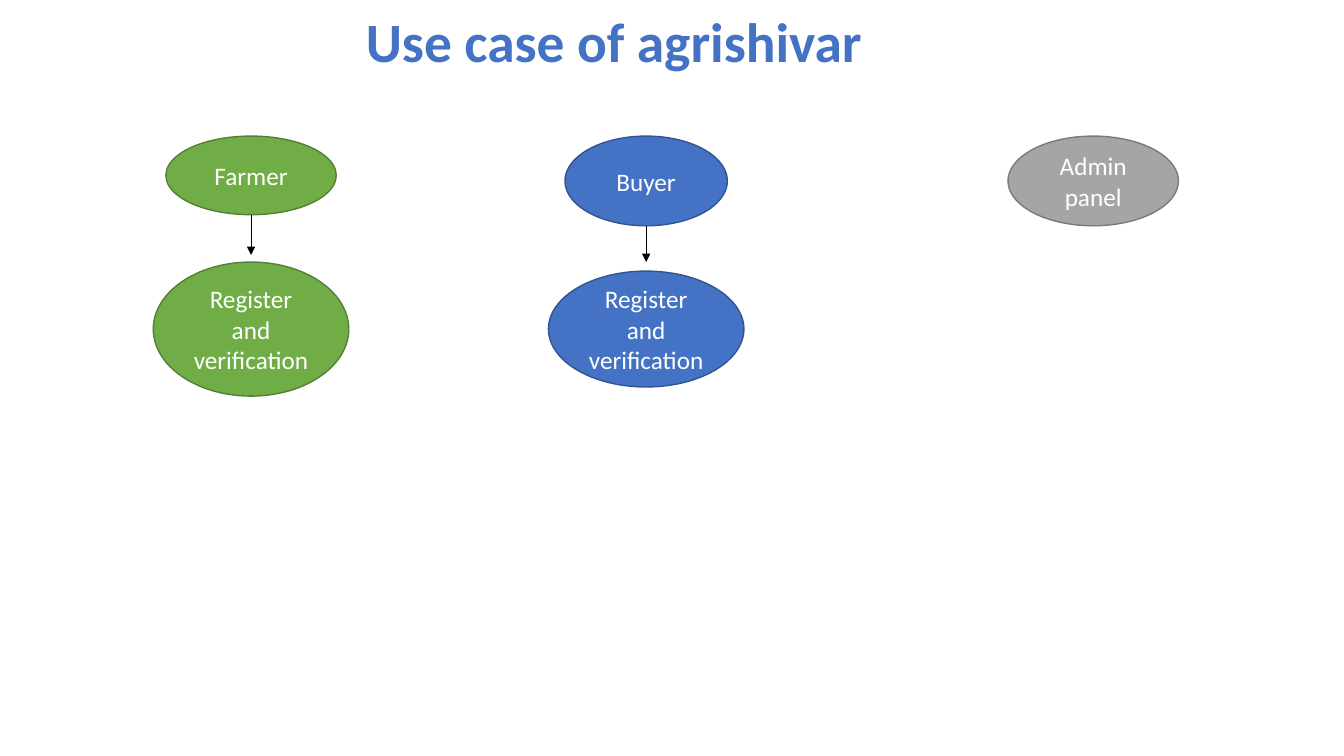
import dataclasses

import pptx
import pptx.dml.color
import pptx.enum.shapes
import pptx.enum.text
import pptx.oxml
import pptx.oxml.ns
import pptx.util

SLIDE_WIDTH = pptx.util.Inches(13.33)
SLIDE_HEIGHT = pptx.util.Inches(7.5)
GRID_STEPS = 100


@dataclasses.dataclass(frozen=True)
class Theme:
    """Colours, font and sizes of the slide."""
    font: str = "Calibri"
    title_size: float = 39.6
    label_size: float = 18
    title: str = "4472C4"
    label: str = "FFFFFF"
    arrow: str = "000000"
    farmer: tuple = ("70AD47", "538035")
    buyer: tuple = ("4472C4", "325491")
    admin: tuple = ("A5A5A5", "7A7A7A")
    outline_width: float = 1
    arrow_width: float = 0.5


THEME = Theme()
ROLE_TOP = 18
REGISTER_MIDDLE = 43.53
REGISTER_WIDTH = 14.55


def columns(count):
    """Return the length of a number of grid columns."""
    return round(SLIDE_WIDTH * count / GRID_STEPS)


def rows(count):
    """Return the length of a number of grid rows."""
    return round(SLIDE_HEIGHT * count / GRID_STEPS)


def rgb(code):
    """Return the colour for a hexadecimal code."""
    return pptx.dml.color.RGBColor.from_string(code)


def write(frame, words, size, colour, align, bold=False):
    """Write one vertically centred paragraph into a text frame."""
    frame.word_wrap = True
    frame.vertical_anchor = pptx.enum.text.MSO_ANCHOR.MIDDLE
    paragraph = frame.paragraphs[0]
    paragraph.alignment = align
    run = paragraph.add_run()
    run.text = words
    run.font.name = THEME.font
    run.font.size = pptx.util.Pt(size)
    run.font.bold = bold
    run.font.color.rgb = rgb(colour)
    return paragraph


def add_title(slide, words):
    """Add the heading of the slide."""
    heading = slide.shapes.add_textbox(columns(26.48), rows(2.8), columns(41.49), rows(6.13))
    paragraph = write(heading.text_frame, words, THEME.title_size, THEME.title,
                      pptx.enum.text.PP_ALIGN.LEFT, bold=True)
    paragraph.line_spacing = 0.9


def add_bubble(slide, words, colours, centre, top, width, height):
    """Add a labelled ellipse centred on a column."""
    bubble = slide.shapes.add_shape(
        pptx.enum.shapes.MSO_SHAPE.OVAL,
        columns(centre - width / 2), rows(top), columns(width), rows(height))
    fill, outline = colours
    bubble.shadow.inherit = False
    bubble.fill.solid()
    bubble.fill.fore_color.rgb = rgb(fill)
    bubble.line.color.rgb = rgb(outline)
    bubble.line.width = pptx.util.Pt(THEME.outline_width)
    write(bubble.text_frame, words, THEME.label_size, THEME.label,
          pptx.enum.text.PP_ALIGN.CENTER)


def add_arrow(slide, centre, start, end):
    """Add a downward arrow on a column."""
    arrow = slide.shapes.add_connector(
        pptx.enum.shapes.MSO_CONNECTOR.STRAIGHT,
        columns(centre), rows(start), columns(centre), rows(end))
    arrow.line.color.rgb = rgb(THEME.arrow)
    arrow.line.width = pptx.util.Pt(THEME.arrow_width)
    head = pptx.oxml.parse_xml(
        f'<a:tailEnd {pptx.oxml.ns.nsdecls("a")} type="triangle"/>')
    arrow.line._get_or_add_ln().append(head)
    arrow._element.spPr.append(
        pptx.oxml.parse_xml(f'<a:effectLst {pptx.oxml.ns.nsdecls("a")}/>'))


def add_registration(slide, colours, centre, role_height, arrow_end, height):
    """Add the registration step and the arrow that leads to it."""
    add_arrow(slide, centre, ROLE_TOP + role_height, arrow_end)
    add_bubble(slide, "Register and verification", colours, centre,
               REGISTER_MIDDLE - height / 2, REGISTER_WIDTH, height)


def main():
    """Build the use case slide and save it."""
    deck = pptx.Presentation()
    deck.slide_width = SLIDE_WIDTH
    deck.slide_height = SLIDE_HEIGHT
    slide = deck.slides.add_slide(deck.slide_layouts[6])

    add_title(slide, "Use case of agrishivar")
    roles = (
        ("Farmer", THEME.farmer, 18.68, 12.68, 10.4, (33.73, 17.73)),
        ("Buyer", THEME.buyer, 48.08, 12.08, 11.87, (34.67, 15.33)),
        ("Admin panel", THEME.admin, 81.34, 12.68, 11.87, None),
    )
    for role, colours, centre, width, height, registration in roles:
        add_bubble(slide, role, colours, centre, ROLE_TOP, width, height)
        if registration:
            add_registration(slide, colours, centre, height, *registration)

    deck.save("out.pptx")


if __name__ == "__main__":
    main()
